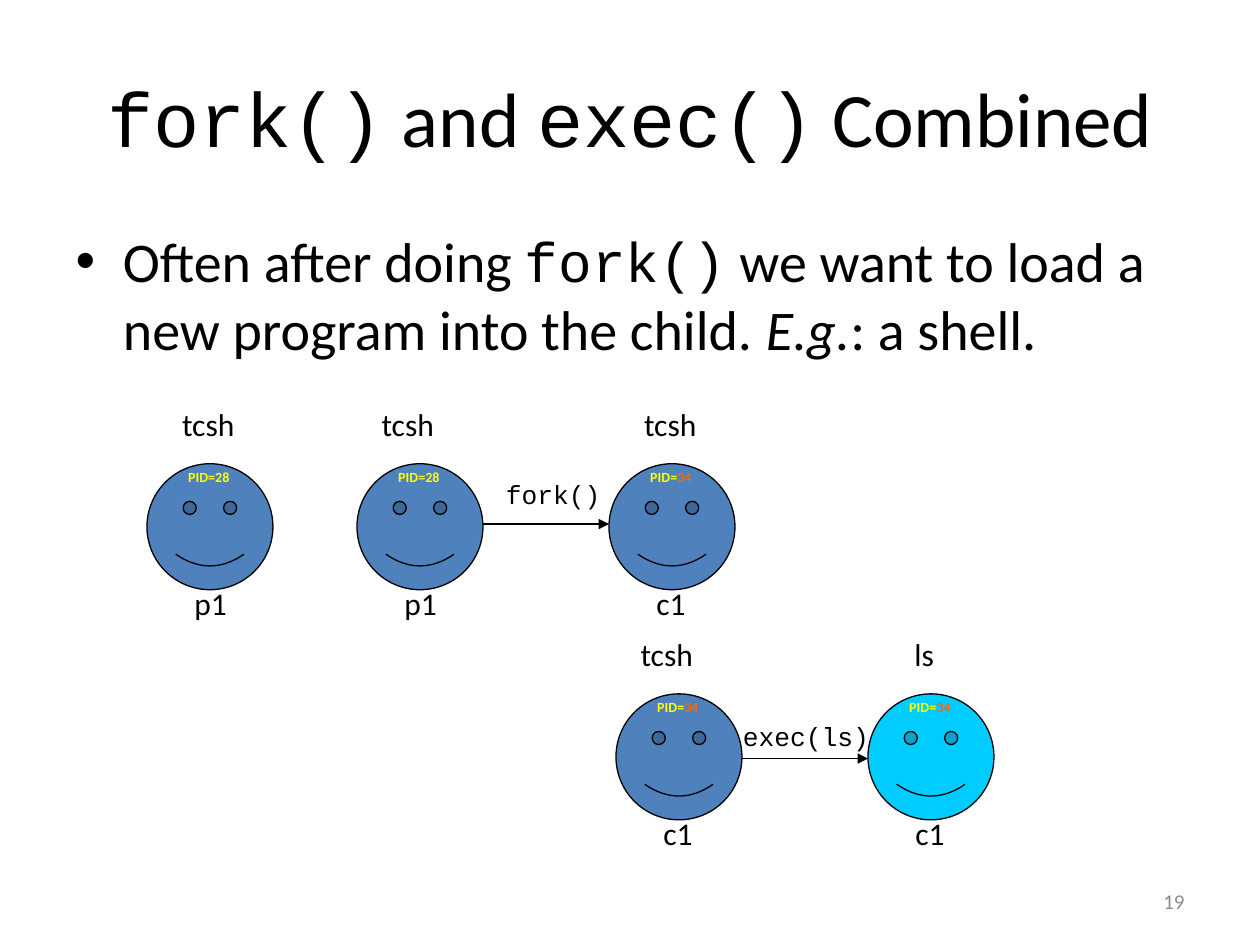
from lxml.etree import SubElement
from pptx import Presentation
from pptx.dml.color import RGBColor
from pptx.enum.shapes import MSO_CONNECTOR, MSO_SHAPE
from pptx.enum.text import MSO_ANCHOR, MSO_AUTO_SIZE, PP_ALIGN
from pptx.oxml.ns import qn
from pptx.util import Pt

BLACK = RGBColor(0, 0, 0)
GREY = RGBColor(0x8C, 0x8C, 0x8C)
BLUE = RGBColor(0x4F, 0x81, 0xBD)
CYAN = RGBColor(0, 0xCC, 0xFF)
YELLOW = RGBColor(0xFF, 0xFF, 0)
ORANGE = RGBColor(0xFF, 0x66, 0)

SANS = {"name": "Calibri", "color": BLACK}
MONO = {"name": "Courier New", "color": BLACK}
LABEL = {**SANS, "size": Pt(18)}
CALL = {**MONO, "size": Pt(15)}
PID = {"name": "Calibri", "size": Pt(8), "bold": True, "color": YELLOW}
CHILD_PID = {**PID, "color": ORANGE}
NUMBER = {"name": "Calibri", "size": Pt(12), "color": GREY}

TITLE = [("fork()", MONO), (" and ", SANS), ("exec()", MONO), (" Combined", SANS)]
BODY = [
    ("Often after doing ", SANS),
    ("fork()", MONO),
    (" we want to load a new program into the child. ", SANS),
    ("E.g.", {**SANS, "italic": True}),
    (": a shell.", SANS),
]
PARENT = [("PID=28", PID)]
CHILD = [("PID=", PID), ("34", CHILD_PID)]

FACE = 72
FORK_ROW, EXEC_ROW = 265, 396.5
# face left, row top, fill, process id, process name, program, program left
PROCESSES = [
    (84, FORK_ROW, BLUE, PARENT, "p1", "tcsh", 97),
    (204, FORK_ROW, BLUE, PARENT, "p1", "tcsh", 211),
    (348, FORK_ROW, BLUE, CHILD, "c1", "tcsh", 361),
    (352, EXEC_ROW, BLUE, CHILD, "c1", "tcsh", 359),
    (496, EXEC_ROW, CYAN, CHILD, "c1", "ls", 515.5),
]
# call, arrow left, arrow height, text left, text top, text width
CALLS = [
    ("fork()", 276, 299.5, 282, 270, 68.4),
    ("exec(ls)", 424, 433.5, 417.5, 408, 86.4),
]


def write(para, spans):
    for text, look in spans:
        span = para.add_run()
        span.text = text
        for key, value in look.items():
            if key == "color":
                span.font.color.rgb = value
            else:
                setattr(span.font, key, value)


def add_label(shapes, left, top, width, height, spans):
    box = shapes.add_textbox(Pt(left), Pt(top), Pt(width), Pt(height))
    box.text_frame.word_wrap = False
    box.text_frame.auto_size = MSO_AUTO_SIZE.SHAPE_TO_FIT_TEXT
    write(box.text_frame.paragraphs[0], spans)


def add_process(shapes, left, top, fill, pid, name, program, program_left):
    parts = shapes.add_group_shape().shapes
    face = parts.add_shape(MSO_SHAPE.SMILEY_FACE, Pt(left), Pt(top), Pt(FACE), Pt(FACE))
    face.shadow.inherit = False
    face.fill.solid()
    face.fill.fore_color.rgb = fill
    face.line.color.rgb = BLACK
    face.line.width = Pt(0.75)
    add_label(parts, left + 16.5, top - 1, 41, 16.6, pid)
    add_label(parts, left + 20, top + 65.3, 38, 36, [(name, LABEL)])
    width = 53 if program == "tcsh" else 30
    add_label(shapes, program_left, top - 37, width, 36, [(program, LABEL)])


def add_call(shapes, call, left, height, text_left, text_top, text_width):
    arrow = shapes.add_connector(
        MSO_CONNECTOR.STRAIGHT, Pt(left), Pt(height), Pt(left + FACE), Pt(height))
    arrow.line.color.rgb = BLACK
    arrow.line.width = Pt(0.75)
    SubElement(arrow.line._get_or_add_ln(), qn("a:tailEnd"), type="triangle")
    SubElement(arrow._element.spPr, qn("a:effectLst"))
    add_label(shapes, text_left, text_top, text_width, 25, [(call, CALL)])


def main():
    deck = Presentation()
    deck.slide_width, deck.slide_height = Pt(720), Pt(540)
    page = deck.slides.add_slide(deck.slide_layouts[1])
    shapes = page.shapes

    texts = [(TITLE, 44, 21.6, 90), (BODY, 32, 126, 356.4)]
    for holder, (spans, size, top, height) in zip(page.placeholders, texts):
        holder.left, holder.top = Pt(36), Pt(top)
        holder.width, holder.height = Pt(648), Pt(height)
        write(holder.text_frame.paragraphs[0],
              [(text, {**look, "size": Pt(size)}) for text, look in spans])

    for process in PROCESSES:
        add_process(shapes, *process)
    for call in CALLS:
        add_call(shapes, *call)

    number = shapes.add_textbox(Pt(516), Pt(500.5), Pt(168), Pt(28.75)).text_frame
    number.word_wrap = True
    number.vertical_anchor = MSO_ANCHOR.MIDDLE
    number.paragraphs[0].alignment = PP_ALIGN.RIGHT
    write(number.paragraphs[0], [("19", NUMBER)])

    deck.save("out.pptx")


if __name__ == "__main__":
    main()
